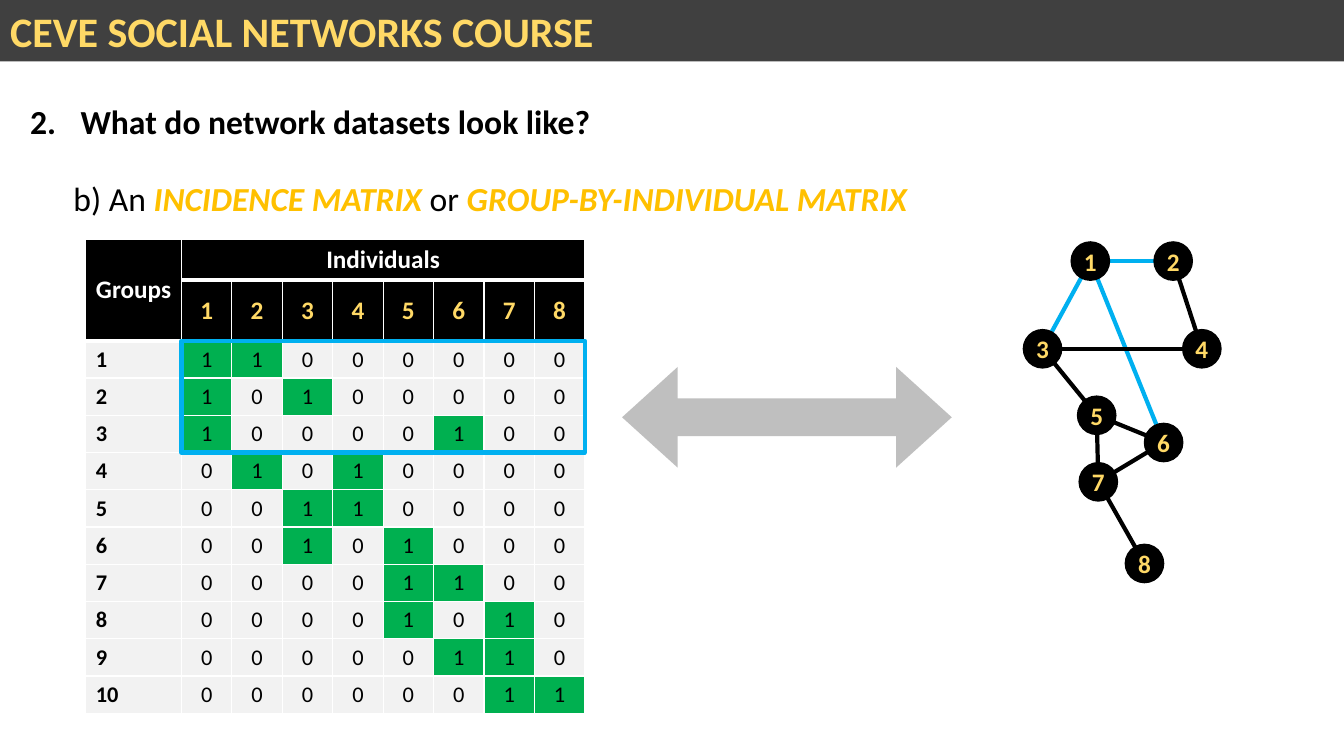
from lxml import etree
from pptx import Presentation
from pptx.dml.color import RGBColor
from pptx.enum.shapes import MSO_CONNECTOR, MSO_SHAPE
from pptx.enum.text import MSO_ANCHOR, MSO_AUTO_SIZE, PP_ALIGN
from pptx.oxml.ns import qn
from pptx.util import Inches, Pt

LEFT, CENTER = PP_ALIGN.LEFT, PP_ALIGN.CENTER
MIDDLE = MSO_ANCHOR.MIDDLE
TITLE_ONLY = 5
SLIDE_WIDTH, SLIDE_HEIGHT = 13.33, 7.5

BLACK, WHITE, YELLOW, AMBER = "000000", "FFFFFF", "FFD966", "FFC000"
BLUE, GREEN, PALE, GREY, CHARCOAL = "00B0F0", "00B050", "F2F2F2", "BFBFBF", "404040"

INDIVIDUALS = range(1, 9)
# The members of each group: rows of the matrix and edges of the network.
GROUPS = [(1, 2), (1, 3), (1, 6), (2, 4), (3, 4),
          (3, 5), (5, 6), (5, 7), (6, 7), (7, 8)]
HIGHLIGHTED_GROUPS = 3

COLUMN, GROUP_COLUMN, ROW = 0.5, 0.95, 0.37
HEADER_ROWS = [0.4, 0.6]
NODE_SIZE = 0.38
# Node centres as shares of the network's box.
NODES = {1: (0.3, 0), 2: (0.82, 0), 3: (0, 0.29), 4: (1, 0.29),
         5: (0.34, 0.51), 6: (0.76, 0.6), 7: (0.35, 0.73), 8: (0.64, 1)}


def color(hex_string):
    return RGBColor.from_string(hex_string)


def inches(*lengths):
    return [Inches(length) for length in lengths]


def format_run(run, size, hex_string, bold=False, italic=False):
    font = run.font
    font.name, font.size, font.bold, font.italic = "Calibri", Pt(size), bold, italic
    font.color.rgb = color(hex_string)


def write(text_frame, text, size, hex_string, bold=True, alignment=LEFT):
    text_frame.text = text
    paragraph = text_frame.paragraphs[0]
    paragraph.alignment = alignment
    format_run(paragraph.runs[0], size, hex_string, bold)
    return paragraph


def add_text_box(slide, box):
    text_frame = slide.shapes.add_textbox(*inches(*box)).text_frame
    text_frame.word_wrap = True
    return text_frame


def add_plain_shape(slide, kind, box, fill=None, line=None, line_width=1):
    shape = slide.shapes.add_shape(kind, *inches(*box))
    shape.shadow.inherit = False
    if fill:
        shape.fill.solid()
        shape.fill.fore_color.rgb = color(fill)
    else:
        shape.fill.background()
    if line:
        shape.line.color.rgb = color(line)
        shape.line.width = Pt(line_width)
    else:
        shape.line.fill.background()
    return shape


def add_title_bar(slide, box):
    title = slide.shapes.title
    title.left, title.top, title.width, title.height = inches(*box)
    title.fill.solid()
    title.fill.fore_color.rgb = color(CHARCOAL)
    title.text_frame.auto_size = MSO_AUTO_SIZE.NONE
    title.text_frame.vertical_anchor = MIDDLE
    write(title.text_frame, "CEVE SOCIAL NETWORKS COURSE", 30, YELLOW)


def add_question(slide, box):
    paragraph = write(add_text_box(slide, box),
                      "What do network datasets look like?", 24, BLACK)
    properties = paragraph._p.get_or_add_pPr()
    properties.set("marL", str(Inches(0.5)))
    properties.set("indent", str(-Inches(0.5)))
    etree.SubElement(properties, qn("a:buAutoNum"), type="arabicPeriod", startAt="2")


def add_matrix_name(slide, box):
    paragraph = add_text_box(slide, box).paragraphs[0]
    for text, emphasised in [("b) An ", False), ("INCIDENCE MATRIX ", True),
                             ("or ", False), ("GROUP-BY-INDIVIDUAL MATRIX", True)]:
        run = paragraph.add_run()
        run.text = text
        format_run(run, 24, AMBER if emphasised else BLACK, emphasised, emphasised)


def set_borders(cell, top, bottom):
    properties = cell._tc.get_or_add_tcPr()
    for side, width in [("L", 1), ("R", 1), ("T", top), ("B", bottom)]:
        line = etree.SubElement(properties, qn(f"a:ln{side}"), w=str(Pt(width)))
        fill = etree.SubElement(line, qn("a:solidFill"))
        etree.SubElement(fill, qn("a:srgbClr"), val=WHITE)


def add_grid(slide, left, top, widths, heights, rows):
    """Add a table whose cells are (text, size, colour, bold, alignment, fill)."""
    frame = slide.shapes.add_table(
        len(heights), len(widths), *inches(left, top, sum(widths), sum(heights)))
    table = frame.table
    table.first_row = table.horz_banding = False
    for column, width in zip(table.columns, widths):
        column.width = Inches(width)
    for row, height in zip(table.rows, heights):
        row.height = Inches(height)
    for row_number, row in enumerate(rows):
        for column_number, (*text_style, fill) in enumerate(row):
            cell = table.cell(row_number, column_number)
            set_borders(cell, 3 if row_number == 1 else 1, 3 if row_number == 0 else 1)
            cell.fill.solid()
            cell.fill.fore_color.rgb = color(fill)
            cell.vertical_anchor = MIDDLE
            cell.margin_top = cell.margin_bottom = Inches(0.04)
            if text_style[0]:
                write(cell.text_frame, *text_style)
    return table


def add_incidence_matrix(slide, left, top):
    body_heights = [ROW] * len(GROUPS)
    matrix_left = left + GROUP_COLUMN
    matrix_width = COLUMN * len(INDIVIDUALS)

    heading = [("Individuals" if individual == 1 else "", 18, WHITE, True, CENTER, BLACK)
               for individual in INDIVIDUALS]
    numbers = [(str(individual), 18, YELLOW, True, CENTER, BLACK)
               for individual in INDIVIDUALS]
    memberships = [[("1", 16, BLACK, False, CENTER, GREEN) if individual in members
                    else ("0", 16, BLACK, False, CENTER, PALE)
                    for individual in INDIVIDUALS] for members in GROUPS]
    matrix = add_grid(slide, matrix_left, top, [COLUMN] * len(INDIVIDUALS),
                      HEADER_ROWS + body_heights, [heading, numbers, *memberships])
    matrix.cell(0, 0).merge(matrix.cell(0, len(INDIVIDUALS) - 1))

    group_names = [[(str(number), 16, BLACK, True, LEFT, PALE)]
                   for number in range(1, len(GROUPS) + 1)]
    add_grid(slide, left, top, [GROUP_COLUMN], [sum(HEADER_ROWS)] + body_heights,
             [[("Groups", 18, WHITE, True, CENTER, BLACK)], *group_names])

    highlight = (matrix_left, top + sum(HEADER_ROWS),
                 matrix_width, ROW * HIGHLIGHTED_GROUPS)
    add_plain_shape(slide, MSO_SHAPE.RECTANGLE, highlight, line=BLUE, line_width=3)


def add_double_arrow(slide, box):
    arrow = add_plain_shape(slide, MSO_SHAPE.LEFT_RIGHT_ARROW, box, fill=GREY)
    arrow.adjustments[0], arrow.adjustments[1] = 0.376, 0.552


def add_network(slide, box):
    """Draw the network; the box spans the centres of the outermost nodes."""
    left, top, width, height = box
    centres = {name: (left + x * width, top + y * height)
               for name, (x, y) in NODES.items()}
    for number, (start, end) in enumerate(GROUPS):
        edge = slide.shapes.add_connector(
            MSO_CONNECTOR.STRAIGHT, *inches(*centres[start], *centres[end]))
        edge.line.color.rgb = color(BLUE if number < HIGHLIGHTED_GROUPS else BLACK)
        edge.line.width = Pt(3)
        etree.SubElement(edge._element.spPr, qn("a:effectLst"))
    for name, (x, y) in centres.items():
        node_box = (x - NODE_SIZE / 2, y - NODE_SIZE / 2, NODE_SIZE, NODE_SIZE)
        node = add_plain_shape(slide, MSO_SHAPE.OVAL, node_box, BLACK, BLACK)
        text_frame = node.text_frame
        text_frame.margin_left = text_frame.margin_right = 0
        text_frame.margin_top = text_frame.margin_bottom = 0
        text_frame.word_wrap = False
        text_frame.vertical_anchor = MIDDLE
        write(text_frame, str(name), 18, YELLOW, alignment=CENTER)


def main():
    presentation = Presentation()
    presentation.slide_width, presentation.slide_height = inches(SLIDE_WIDTH, SLIDE_HEIGHT)
    slide = presentation.slides.add_slide(presentation.slide_layouts[TITLE_ONLY])
    add_title_bar(slide, (0, 0, SLIDE_WIDTH, 0.61))
    add_question(slide, (0.2, 0.95, 12.78, 0.5))
    add_matrix_name(slide, (0.63, 1.72, 8.98, 0.5))
    add_incidence_matrix(slide, 0.85, 2.38)
    add_double_arrow(slide, (6.17, 3.64, 3.27, 1))
    add_network(slide, (10.34, 2.59, 1.58, 3))
    presentation.save("out.pptx")


if __name__ == "__main__":
    main()
